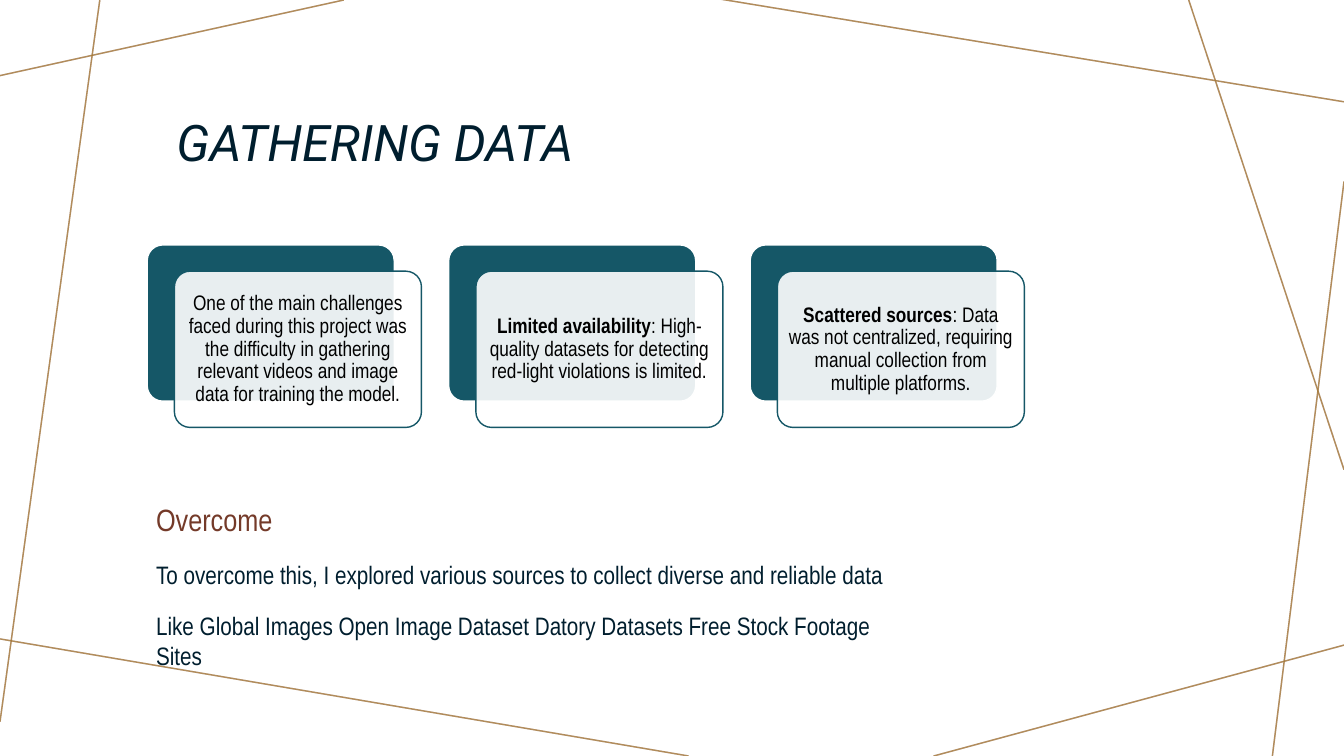
from lxml.etree import SubElement
from pptx import Presentation
from pptx.dml.color import RGBColor
from pptx.enum.shapes import MSO_CONNECTOR, MSO_SHAPE
from pptx.enum.text import MSO_ANCHOR, PP_ALIGN
from pptx.oxml.ns import qn
from pptx.util import Inches, Pt

NAVY, TEAL, BROWN, WHITE, BLACK = "001E2E", "155767", "743A29", "FFFFFF", "000000"
LINE_COLOURS = ["BA9CA0", "A57931"]
HEADING_FONT, BODY_FONT = "Roboto", "Arial Narrow"


def colour(value):
    return RGBColor.from_string(value)


def set_opacity(fill_parent, percent):
    tint = fill_parent.find(qn("a:solidFill"))[0]
    SubElement(tint, qn("a:alpha")).set("val", str(percent * 1000))


class SlideBuilder:
    def __init__(self, page):
        self.page = page

    def line(self, start, end, tint):
        ends = [Inches(value) for value in (*start, *end)]
        connector = self.page.shapes.add_connector(MSO_CONNECTOR.STRAIGHT, *ends)
        connector.line.color.rgb = colour(tint)
        connector.line.width = Pt(1)
        properties = connector._element.spPr
        set_opacity(properties.find(qn("a:ln")), 70)
        SubElement(properties, qn("a:effectLst"))

    def panel(self, left, top, width, height, fill, outline, opacity=100):
        panel = self.page.shapes.add_shape(
            MSO_SHAPE.ROUNDED_RECTANGLE,
            Inches(left), Inches(top), Inches(width), Inches(height))
        panel.adjustments[0] = 0.1
        panel.shadow.inherit = False
        panel.fill.solid()
        panel.fill.fore_color.rgb = colour(fill)
        panel.line.color.rgb = colour(outline)
        panel.line.width = Pt(1)
        if opacity < 100:
            set_opacity(panel._element.spPr, opacity)

    def text(self, left, top, width, height, content, anchor=MSO_ANCHOR.TOP, inset=None):
        box = self.page.shapes.add_textbox(
            Inches(left), Inches(top), Inches(width), Inches(height))
        frame = box.text_frame
        frame.word_wrap = True
        frame.vertical_anchor = anchor
        if inset is not None:
            frame.margin_left = frame.margin_right = Inches(inset)
            frame.margin_top = frame.margin_bottom = Inches(inset)
        frame.text = content
        return frame

    def style(self, para, size, tint, font=BODY_FONT, italic=False):
        for span in para.runs:
            span.font.size = Pt(size)
            span.font.name = font
            span.font.color.rgb = colour(tint)
            span.font.italic = italic

    def card(self, left, lead, detail):
        top, width, height, offset, margin = 2.43, 2.45, 1.55, 0.27, 0.05
        self.panel(left, top, width, height, TEAL, WHITE)
        left, top = left + offset, top + offset - 0.01
        self.panel(left, top, width, height, WHITE, TEAL, opacity=90)
        frame = self.text(left + margin, top + margin, width - 2 * margin,
                          height - 2 * margin, lead or detail, MSO_ANCHOR.MIDDLE, 0.06)
        para = frame.paragraphs[0]
        para.alignment = PP_ALIGN.CENTER
        para.line_spacing = 0.9
        if lead:
            para.runs[0].font.bold = True
            para.add_run().text = detail
        self.style(para, 15, BLACK)


def main():
    deck = Presentation()
    deck.slide_width, deck.slide_height = Inches(13.33), Inches(7.5)
    builder = SlideBuilder(deck.slides.add_slide(deck.slide_layouts[6]))

    # Crossing border lines, one layer per colour
    border = [
        ((3.41, 0), (0, 0.75)),
        ((0.99, 0), (0, 7.16)),
        ((6.83, 7.5), (-0.05, 6.33)),
        ((13.33, 6.4), (9.26, 7.5)),
        ((13.33, 1.8), (12.62, 7.5)),
        ((13.33, 4.66), (11.79, 0)),
        ((13.33, 1.01), (7.14, -0.01)),
    ]
    for tint in LINE_COLOURS:
        for start, end in border:
            builder.line(start, end, tint)

    # Title
    title = builder.text(1.65, 0.25, 6.89, 1.51, "GATHERING DATA", MSO_ANCHOR.BOTTOM)
    title.paragraphs[0].line_spacing = 0.9
    builder.style(title.paragraphs[0], 36, NAVY, HEADING_FONT, italic=True)

    # How the challenges were overcome
    body = builder.text(1.45, 4.92, 7.7, 2.23, "\n".join([
        "Overcome",
        "To overcome this, I explored various sources to collect diverse and reliable data",
        "Like Global Images Open Image Dataset Datory Datasets Free Stock Footage Sites",
    ]))
    for index, para in enumerate(body.paragraphs):
        para.space_after = Pt(5)
        if index:
            para.space_before = Pt(10)
            builder.style(para, 18, NAVY)
        else:
            builder.style(para, 22, BROWN)

    # Challenge cards
    challenges = [
        ("", "One of the main challenges faced during this project was the difficulty in "
             "gathering relevant videos and image data for training the model."),
        ("Limited availability",
         ": High-quality datasets for detecting red-light violations is limited."),
        ("Scattered sources",
         ": Data was not centralized, requiring manual collection from multiple platforms."),
    ]
    for index, (lead, detail) in enumerate(challenges):
        builder.card(1.46 + index * 2.99, lead, detail)

    deck.save("out.pptx")


if __name__ == "__main__":
    main()
